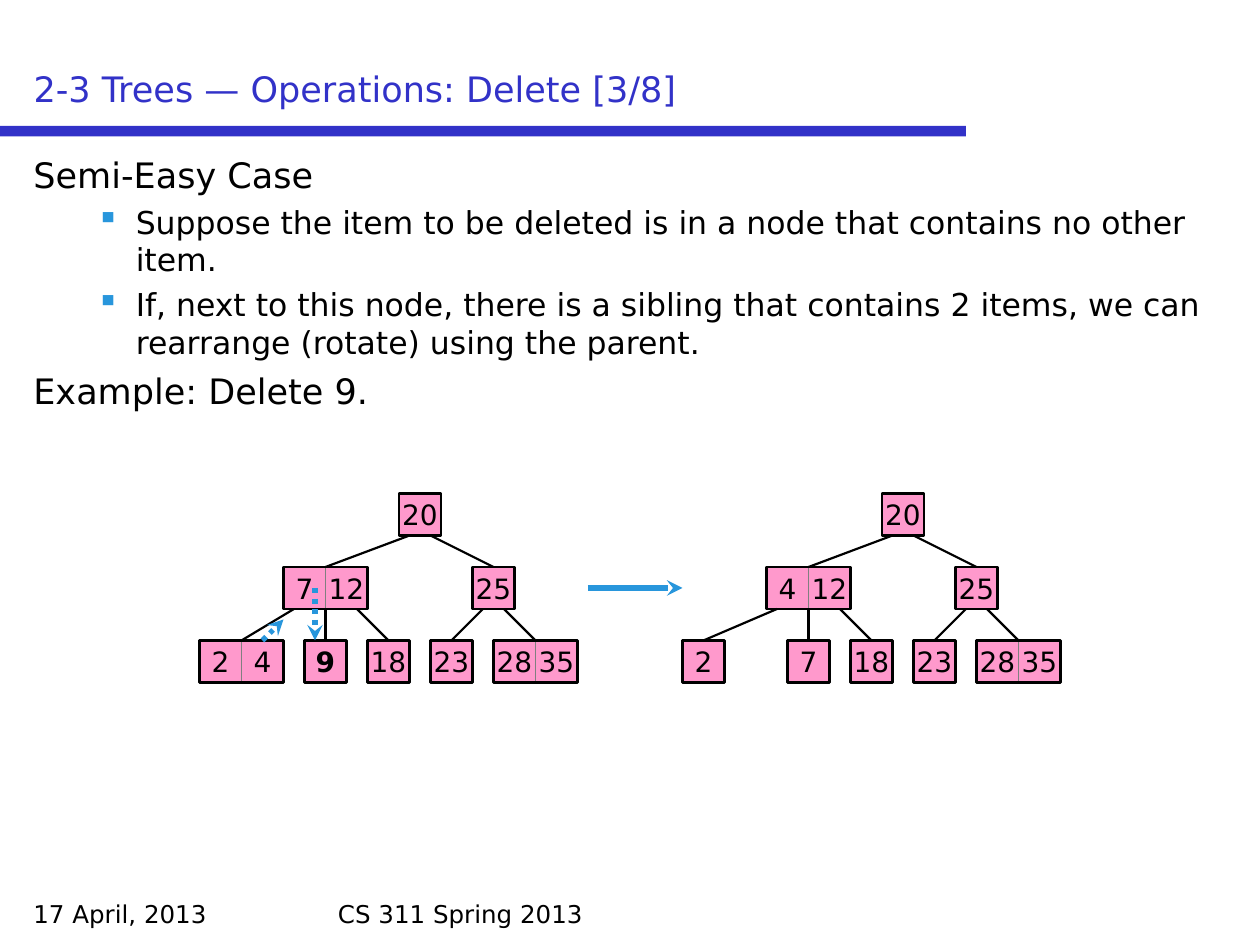
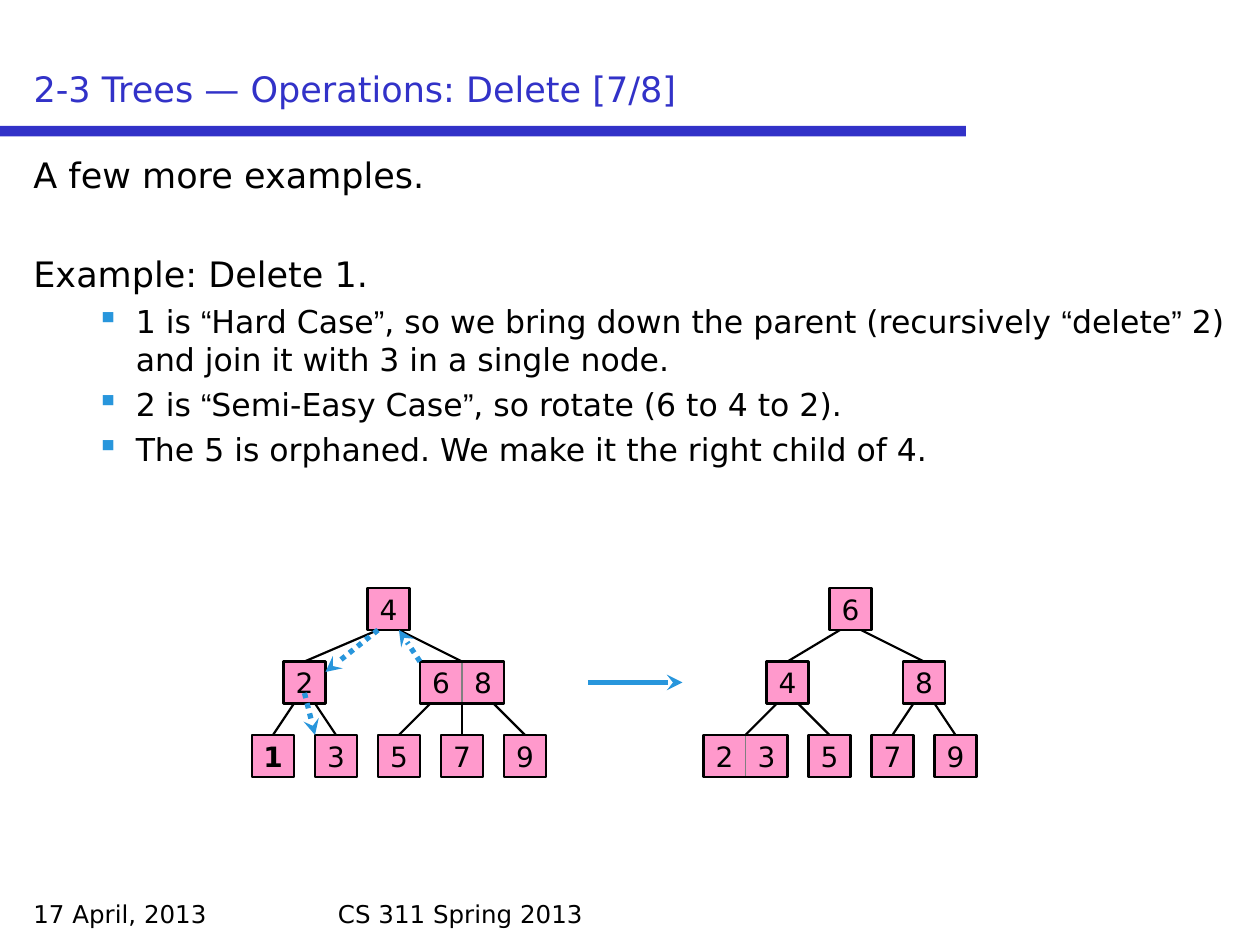
from itertools import groupby

from lxml.etree import SubElement
from pptx import Presentation
from pptx.dml.color import RGBColor
from pptx.enum.dml import MSO_LINE
from pptx.enum.shapes import MSO_CONNECTOR, MSO_SHAPE
from pptx.enum.text import MSO_ANCHOR as ANCHOR, MSO_AUTO_SIZE, PP_ALIGN as ALIGN
from pptx.oxml.ns import qn
from pptx.util import Pt

BLACK, GREY, BLUE, SKY, PINK = "000000", "808080", "3232C8", "2896DC", "FF99CC"
FONT, QUOTE_FONT, QUOTES = "DejaVu Sans", "Arial", "“”"
CELL, LEVEL_STEP, PORT_INSET = 24, 42, 6
RESULT_ARROW = (336, 390)
FOOTERS = [("17 April, 2013", 12, 168), ("CS 311 Spring 2013", 186, 348)]
HEADING = dict(size=20, margin=27, indent=-27, before=4.7)
SECTION = dict(HEADING, before=32.7)
POINT = dict(size=18, margin=58.5, indent=-22.5, before=4.2, bullet="▪")

# Each tree node is (left edge, items, children).
SLIDES = [
    dict(
        title="2-3 Trees — Operations: Delete [3/8]",
        body=[
            ("Semi-Easy Case", HEADING),
            ("Suppose the item to be deleted is in a node that contains no other item.", POINT),
            ("If, next to this node, there is a sibling that contains 2 items, we can "
             "rearrange (rotate) using the parent.", POINT),
            ("Example: Delete 9.", HEADING),
        ],
        root_top=282,
        deleted="9",
        trees=[
            (228, "20", [
                (162, "7 12", [(114, "2 4", []), (174, "9", []), (210, "18", [])]),
                (270, "25", [(246, "23", []), (282, "28 35", [])])]),
            (504, "20", [
                (438, "4 12", [(390, "2", []), (450, "7", []), (486, "18", [])]),
                (546, "25", [(522, "23", []), (558, "28 35", [])])]),
        ],
        moves=[((150, 366), (162, 354)), ((180, 336), (180, 366))],
    ),
    dict(
        title="2-3 Trees — Operations: Delete [7/8]",
        body=[
            ("A few more examples.", HEADING),
            ("Example: Delete 1.", SECTION),
            ("1 is “Hard Case”, so we bring down the parent (recursively “delete” 2) "
             "and join it with 3 in a single node.", POINT),
            ("2 is “Semi-Easy Case”, so rotate (6 to 4 to 2).", POINT),
            ("The 5 is orphaned. We make it the right child of 4.", POINT),
        ],
        root_top=336,
        deleted="1",
        trees=[
            (210, "4", [
                (162, "2", [(144, "1", []), (180, "3", [])]),
                (240, "6 8", [(216, "5", []), (252, "7", []), (288, "9", [])])]),
            (474, "6", [
                (438, "4", [(402, "2 3", []), (462, "5", [])]),
                (516, "8", [(498, "7", []), (534, "9", [])])]),
        ],
        moves=[((240, 378), (228, 360)), ((216, 360), (186, 384)), ((174, 396), (180, 420))],
    ),
]


def rgb(color):
    """Turn a hex string into a colour."""
    return RGBColor.from_string(color)


def write(paragraph, text, size=16, color=BLACK, bold=False, align=ALIGN.LEFT,
          margin=0, indent=0, before=0, bullet=None):
    """Fill a paragraph, setting its curly quotes in their own font."""
    properties = paragraph._p.get_or_add_pPr()
    properties.set("marL", str(Pt(margin)))
    properties.set("indent", str(Pt(indent)))
    if bullet:
        SubElement(SubElement(properties, qn("a:buClr")), qn("a:srgbClr"), val=SKY)
        SubElement(properties, qn("a:buChar"), char=bullet)
    paragraph.alignment = align
    paragraph.space_before = Pt(before)
    for is_quote, letters in groupby(text, key=lambda letter: letter in QUOTES):
        run = paragraph.add_run()
        run.text = "".join(letters)
        run.font.name = QUOTE_FONT if is_quote else FONT
        run.font.size, run.font.bold = Pt(size), bold
        run.font.color.rgb = rgb(color)


def add_text(slide, left, top, width, height, lines):
    """Add a wrapped text box with one paragraph per (text, format) pair."""
    frame = slide.shapes.add_textbox(Pt(left), Pt(top), Pt(width), Pt(height)).text_frame
    frame.word_wrap = True
    for number, (text, style) in enumerate(lines):
        if number:
            write(frame.add_paragraph(), text, **style)
        else:
            write(frame.paragraphs[0], text, **dict(style, before=0))


def add_rect(slide, left, top, width, height, fill=None, line=None, weight=1.25):
    """Add a flat rectangle."""
    rect = slide.shapes.add_shape(
        MSO_SHAPE.RECTANGLE, Pt(left), Pt(top), Pt(width), Pt(height))
    rect.shadow.inherit = False
    if fill:
        rect.fill.solid()
        rect.fill.fore_color.rgb = rgb(fill)
    else:
        rect.fill.background()
    if line:
        rect.line.color.rgb = rgb(line)
        rect.line.width = Pt(weight)
    else:
        rect.line.fill.background()
    return rect


def add_line(slide, start, end, color=BLACK, weight=1.25, dotted=False, arrow=False):
    """Add a straight connector, dotted or with an arrowhead on request."""
    line = slide.shapes.add_connector(MSO_CONNECTOR.STRAIGHT, *map(Pt, start + end))
    line.line.color.rgb = rgb(color)
    line.line.width = Pt(weight)
    if dotted:
        line.line.dash_style = MSO_LINE.ROUND_DOT
    properties = line._element.spPr
    if arrow:
        SubElement(properties.find(qn("a:ln")), qn("a:tailEnd"), type="stealth")
    SubElement(properties, qn("a:effectLst"))
    return line


def add_node(slide, left, top, items, deleted):
    """Draw the item cells of a node and return its outer rectangle."""
    single = len(items) == 1
    for column, item in enumerate(items):
        cell = add_rect(slide, left + column * CELL, top, CELL, CELL, PINK,
                        BLACK if single else GREY, 1.25 if single else 0.75)
        frame = cell.text_frame
        frame.word_wrap = False
        frame.vertical_anchor = ANCHOR.MIDDLE
        write(frame.paragraphs[0], item, bold=item == deleted, align=ALIGN.CENTER)
    return cell if single else add_rect(slide, left, top, len(items) * CELL, CELL, line=BLACK)


def add_tree(slide, tree, top, deleted):
    """Draw a tree from its root down and return the root's rectangle."""
    left, label, children = tree
    items = label.split()
    width = len(items) * CELL
    node = add_node(slide, left, top, items, deleted)
    for number, child in enumerate(children):
        port = PORT_INSET + number * (width - 2 * PORT_INSET) / (len(children) - 1)
        child_node = add_tree(slide, child, top + LEVEL_STEP, deleted)
        edge = add_line(slide, (left + port, top + CELL), (child[0], top + LEVEL_STEP))
        if port == width / 2:
            edge.begin_connect(node, 2)
        edge.end_connect(child_node, 0)
    return node


def add_frame(slide, heading):
    """Add the title, band and footers every slide shares."""
    title = slide.shapes.title
    title.left, title.top, title.width, title.height = map(Pt, (12, 12, 696, 54))
    title.text_frame.auto_size = MSO_AUTO_SIZE.NONE
    title.text_frame.vertical_anchor = ANCHOR.BOTTOM
    write(title.text_frame.paragraphs[0], heading, size=20, color=BLUE)
    add_rect(slide, 0, 72, 552, 6, BLUE)
    for text, left, width in FOOTERS:
        add_text(slide, left, 510, width, 24, [(text, dict(size=14))])


def main():
    """Build the deck."""
    deck = Presentation()
    deck.slide_width, deck.slide_height = Pt(720), Pt(540)
    for content in SLIDES:
        slide = deck.slides.add_slide(deck.slide_layouts[5])
        add_frame(slide, content["title"])
        add_text(slide, 12, 84, 696, 420, content["body"])
        root_top = content["root_top"]
        for tree in content["trees"]:
            add_tree(slide, tree, root_top, content["deleted"])
        for start, end in content["moves"]:
            add_line(slide, start, end, SKY, 3, dotted=True, arrow=True)
        arrow_y = root_top + LEVEL_STEP + CELL / 2
        arrow_start, arrow_end = RESULT_ARROW
        add_line(slide, (arrow_start, arrow_y), (arrow_end, arrow_y), SKY, 3, arrow=True)
    deck.save("out.pptx")


if __name__ == "__main__":
    main()
